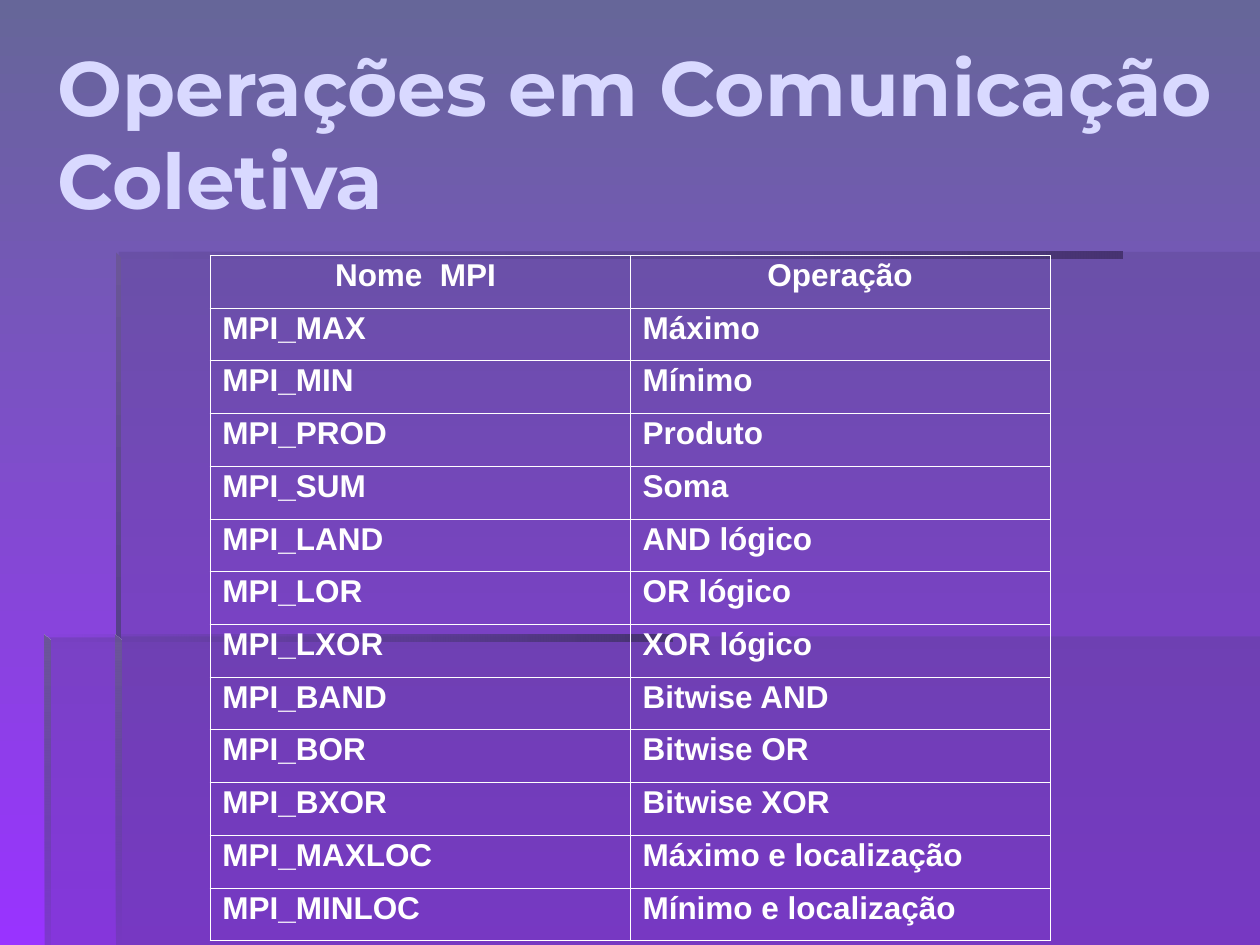
from dataclasses import dataclass
from lxml.etree import SubElement
from pptx import Presentation
from pptx.dml.color import RGBColor as RGB
from pptx.enum.text import MSO_ANCHOR as Anchor, PP_ALIGN as Align
from pptx.oxml.ns import qn
from pptx.util import Cm, Pt


@dataclass(frozen=True)
class Theme:
    """Colours, fonts and sizes of the slide."""
    sky: str = "666699"
    glow: str = "9933FF"
    panel: str = "573F8B"
    dark: str = "473371"
    light: str = "6B5698"
    heading: str = "D9D9FF"
    body: str = "FFFFFF"
    heading_font: str = "Montserrat"
    body_font: str = "Arial"
    heading_size: float = 44
    body_size: float = 18
    inner_line: float = 0.11
    outer_line: float = 0.23


THEME = Theme()
OPERATIONS = [
    ("Nome  MPI ", "Operação"),
    ("MPI_MAX", "Máximo"),
    ("MPI_MIN", "Mínimo"),
    ("MPI_PROD", "Produto"),
    ("MPI_SUM", "Soma"),
    ("MPI_LAND", "AND lógico"),
    ("MPI_LOR", "OR lógico"),
    ("MPI_LXOR", "XOR lógico"),
    ("MPI_BAND", "Bitwise AND"),
    ("MPI_BOR", "Bitwise OR"),
    ("MPI_BXOR", "Bitwise XOR"),
    ("MPI_MAXLOC", "Máximo e localização"),
    ("MPI_MINLOC", "Mínimo e localização"),
]


def paint_gradient(fill, colors, angle):
    """Fill with a two-stop linear gradient, angle counted anticlockwise."""
    fill.gradient()
    fill.gradient_angle = angle
    for stop, color, position in zip(fill.gradient_stops, colors, (0, 1)):
        stop.color.rgb = RGB.from_string(color)
        stop.position = position


def set_opacity(shape, percent):
    """Set the opacity of the last colour in the shape's fill."""
    color = shape.element.spPr.findall(".//" + qn("a:srgbClr"))[-1]
    SubElement(color, qn("a:alpha")).set("val", str(percent * 1000))


def add_outline(slide, box, points):
    """Draw a closed, lineless outline with points in cm from the box corner."""
    corners = [(box[0] + Cm(x), box[1] + Cm(y)) for x, y in points]
    builder = slide.shapes.build_freeform(*corners[0])
    builder.add_line_segments(corners[1:], close=True)
    outline = builder.convert_to_shape()
    outline.shadow.inherit = False
    outline.line.fill.background()
    return outline


def add_backdrop(slide, box):
    """Place the translucent panels and their bevelled edges."""
    right, bottom = box[2].cm, box[3].cm
    paint_gradient(slide.background.fill, (THEME.sky, THEME.glow), 270)
    panels = [
        [(2.34, 12.83), (2.34, bottom), (right, bottom), (right, 12.83)],
        [(2.39, 12.85), (0.91, 12.85), (0.91, bottom), (right, bottom),
         (right, 5.08), (2.39, 5.08)],
    ]
    for points in panels:
        panel = add_outline(slide, box, points)
        panel.fill.solid()
        panel.fill.fore_color.rgb = RGB.from_string(THEME.panel)
        set_opacity(panel, 30)

    def bar(x, y, end):
        return [(x, y), (x, y + 0.13), (end, y + 0.13), (end, y)]

    def post(x, y, end):
        return [(x, y), (x, end), (x + 0.12, end), (x + 0.12, y + 0.12)]

    edges = [
        (bar(2.34, 5.08, 22.63), THEME.dark, 180, 0),
        (post(2.33, 5.08, 12.95), THEME.light, 270, 100),
        (post(2.32, 12.8, bottom), THEME.light, 270, 0),
        (bar(0.89, 12.8, 13.56), THEME.dark, 180, 0),
        (post(0.89, 12.8, bottom), THEME.light, 270, 12),
    ]
    for points, color, angle, opacity in edges:
        edge = add_outline(slide, box, points)
        paint_gradient(edge.fill, (color, THEME.panel), angle)
        set_opacity(edge, opacity)


def style_font(font, name, size, color):
    """Apply a bold face, size and colour."""
    font.name, font.size, font.bold = name, Pt(size), True
    font.color.rgb = RGB.from_string(color)


def add_heading(slide, box, wording):
    """Place the heading, centred vertically in its box."""
    frame = slide.shapes.add_textbox(*box).text_frame
    frame.word_wrap = True
    frame.vertical_anchor = Anchor.MIDDLE
    heading = frame.paragraphs[0]
    heading.text = wording
    style_font(heading.font, THEME.heading_font, THEME.heading_size, THEME.heading)


def add_border(cell, side, width):
    """Draw one side of a cell's border."""
    line = SubElement(cell._tc.get_or_add_tcPr(), qn("a:ln" + side))
    line.set("w", str(Pt(width)))
    color = SubElement(SubElement(line, qn("a:solidFill")), qn("a:srgbClr"))
    color.set("val", THEME.body)


def add_operations(slide, box, entries):
    """Place the table of operations with a centred header row."""
    last_row, last_column = len(entries) - 1, len(entries[0]) - 1
    table = slide.shapes.add_table(last_row + 1, last_column + 1, *box).table
    table.first_row = table.horz_banding = False
    for r, entry in enumerate(entries):
        for c, wording in enumerate(entry):
            cell = table.cell(r, c)
            outer_sides = {"L": c == 0, "R": c == last_column,
                           "T": r == 0, "B": r == last_row}
            for side, outer in outer_sides.items():
                add_border(cell, side, THEME.outer_line if outer else THEME.inner_line)
            cell.fill.background()
            label = cell.text_frame.paragraphs[0]
            label.text = wording
            label.alignment = Align.CENTER if r == 0 else Align.LEFT
            label.line_spacing = 0.89
            label.space_before = Pt(4.5)
            style_font(label.font, THEME.body_font, THEME.body_size, THEME.body)


def main():
    """Build and save the slide."""
    deck = Presentation()
    deck.slide_width, deck.slide_height = Cm(25.4), Cm(19.05)
    slide = deck.slides.add_slide(deck.slide_layouts[6])
    add_backdrop(slide, (Cm(0), Cm(0), deck.slide_width, deck.slide_height))
    add_heading(slide, (Cm(0.91), Cm(0.67), Cm(24.64), Cm(3.99)),
                "Operações em Comunicação Coletiva")
    add_operations(slide, (Cm(4.23), Cm(5.14), Cm(16.94), Cm(13.82)), OPERATIONS)
    deck.save("out.pptx")


main()
